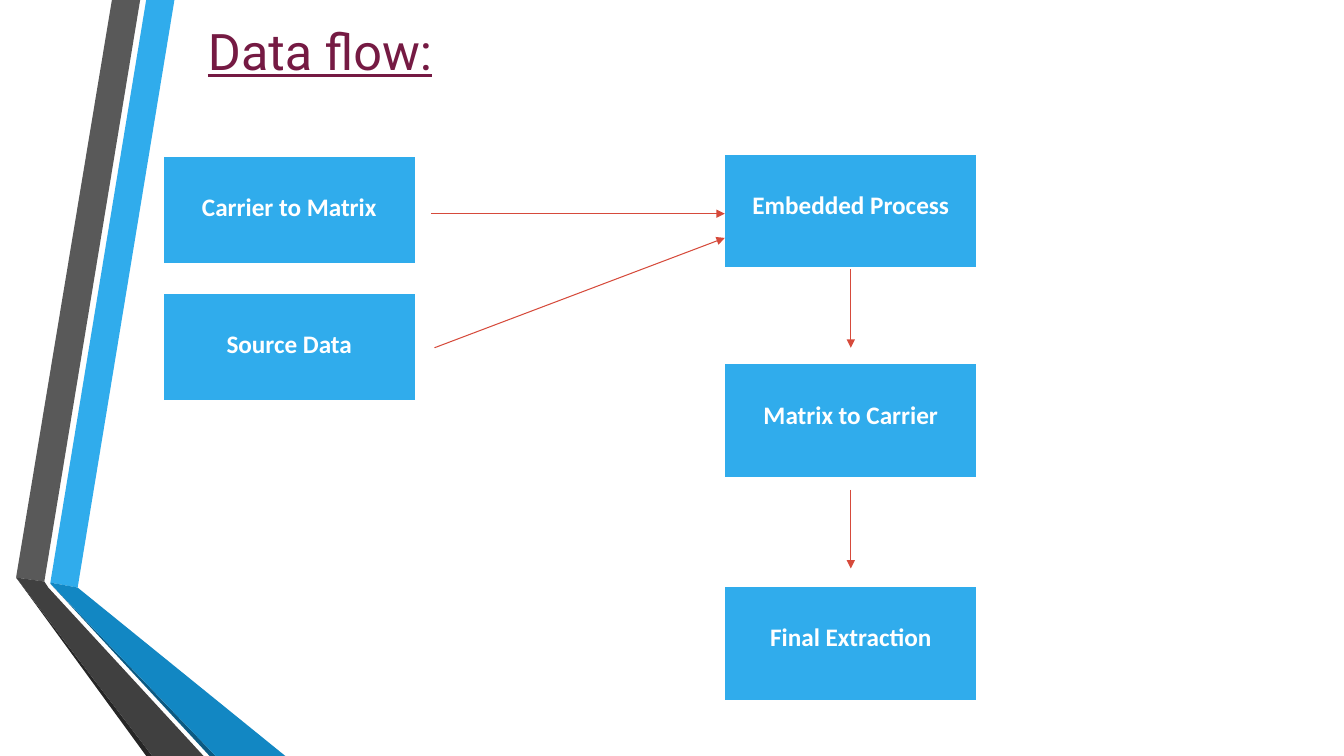
"""Build the data flow slide; lengths are percentages of the slide's width and height."""
import lxml.etree
import pptx
import pptx.dml.color
import pptx.enum.shapes
import pptx.enum.text
import pptx.oxml.ns
import pptx.util

W, H = pptx.util.Inches(13.333), pptx.util.Inches(7.5)
BLUE, WHITE, RED, PLUM = "30ACEC", "FFFFFF", "D64A3B", "751A43"

RIBBONS = [
    (BLUE, [(3.75, 77.07), (5.78, 77.73), (12.98, 0), (10.88, 0)]),
    ("595959", [(10.43, 0), (8.33, 0), (1.2, 76.4), (3.3, 76.93)]),
    ("262626", [(1.2, 76.4), (10.88, 100), (11.33, 100)]),
    ("0C5A82", [(3.75, 77.2), (15.6, 100), (16.05, 100)]),
    ("1287C3", [(3.75, 77.07), (3.75, 77.2), (16.05, 100), (21.23, 100), (5.78, 77.73)]),
    ("404040", [(15.15, 100), (3.6, 77.73), (3.3, 76.93), (1.2, 76.4), (11.33, 100)]),
]
BOX_W, SOURCE_H, STEP_H = 18.75, 14.4, 15.2
SOURCE_X, STEP_X = 12.15, 53.93
STEP_MID = STEP_X + BOX_W / 2
BOXES = [
    ("Carrier to Matrix", SOURCE_X, 20.67, SOURCE_H),
    ("Source Data", SOURCE_X, 38.8, SOURCE_H),
    ("Embedded Process", STEP_X, 20.4, STEP_H),
    ("Matrix to Carrier", STEP_X, 48.13, STEP_H),
    ("Final Extraction", STEP_X, 77.6, STEP_H),
]
ARROWS = [
    (32.33, 46, STEP_X, 31.47),
    (32.1, 28.27, STEP_X, 28.27),
    (STEP_MID, 35.6, STEP_MID, 46),
    (STEP_MID, 64.8, STEP_MID, 75.2),
]


def x(share):
    """Return a horizontal length from a percentage of the slide's width."""
    return round(W * share / 100)


def y(share):
    """Return a vertical length from a percentage of the slide's height."""
    return round(H * share / 100)


def rgb(value):
    """Return a colour from a hex string."""
    return pptx.dml.color.RGBColor.from_string(value)


def sub(parent, tag, **attrs):
    """Append an XML element with the given attributes."""
    return lxml.etree.SubElement(parent, pptx.oxml.ns.qn(tag), attrs)


def write(tf, text, size=18, font="Calibri", color=WHITE, bold=False, underline=False):
    """Write one centred, formatted paragraph."""
    p = tf.paragraphs[0]
    p.alignment = pptx.enum.text.PP_ALIGN.CENTER
    r = p.add_run()
    r.text = text
    r.font.size, r.font.name = pptx.util.Pt(size), font
    r.font.bold, r.font.underline = bold, underline
    r.font.color.rgb = rgb(color)


def add_ribbon(s, color, points):
    """Add a filled polygon without an outline."""
    corners = [(x(px), y(py)) for px, py in points]
    fb = s.shapes.build_freeform(*corners[0])
    fb.add_line_segments(corners[1:], close=True)
    sp = fb.convert_to_shape()
    sp.shadow.inherit = False
    sp.fill.solid()
    sp.fill.fore_color.rgb = rgb(color)
    sp.line.fill.background()


def add_title(s, text):
    """Add the underlined heading."""
    sp = s.shapes.add_textbox(x(10.13), y(1.73), x(27.38), y(9.87))
    tf = sp.text_frame
    tf.word_wrap = True
    tf.vertical_anchor = pptx.enum.text.MSO_ANCHOR.MIDDLE
    write(tf, text, size=36, font="Roboto", color=PLUM, underline=True)


def add_box(s, text, left, top, height):
    """Add a one-cell table with white borders."""
    frame = s.shapes.add_table(1, 1, x(left), y(top), x(BOX_W), y(height))
    table = frame.table
    table.first_row = table.horz_banding = False
    cell = table.cell(0, 0)
    cell.margin_top = pptx.util.Inches(0.36)
    write(cell.text_frame, text, bold=True)
    tc_pr = cell._tc.get_or_add_tcPr()
    for side, width in (("L", 1), ("R", 1), ("T", 1), ("B", 3)):
        ln = sub(tc_pr, "a:ln" + side, w=str(pptx.util.Pt(width)))
        sub(sub(ln, "a:solidFill"), "a:srgbClr", val=WHITE)
    cell.fill.solid()
    cell.fill.fore_color.rgb = rgb(BLUE)


def add_arrow(s, x1, y1, x2, y2):
    """Add a thin straight arrow."""
    straight = pptx.enum.shapes.MSO_CONNECTOR.STRAIGHT
    line = s.shapes.add_connector(straight, x(x1), y(y1), x(x2), y(y2))
    line.line.color.rgb = rgb(RED)
    line.line.width = pptx.util.Pt(0.75)
    sub(line.line._get_or_add_ln(), "a:tailEnd", type="triangle")
    sub(line._element.spPr, "a:effectLst")


def main():
    """Build and save the slide."""
    prs = pptx.Presentation()
    prs.slide_width, prs.slide_height = W, H
    s = prs.slides.add_slide(prs.slide_layouts[6])
    for ribbon in RIBBONS:
        add_ribbon(s, *ribbon)
    add_title(s, "Data flow:")
    for box in BOXES:
        add_box(s, *box)
    for arrow in ARROWS:
        add_arrow(s, *arrow)
    prs.save("out.pptx")


if __name__ == "__main__":
    main()
